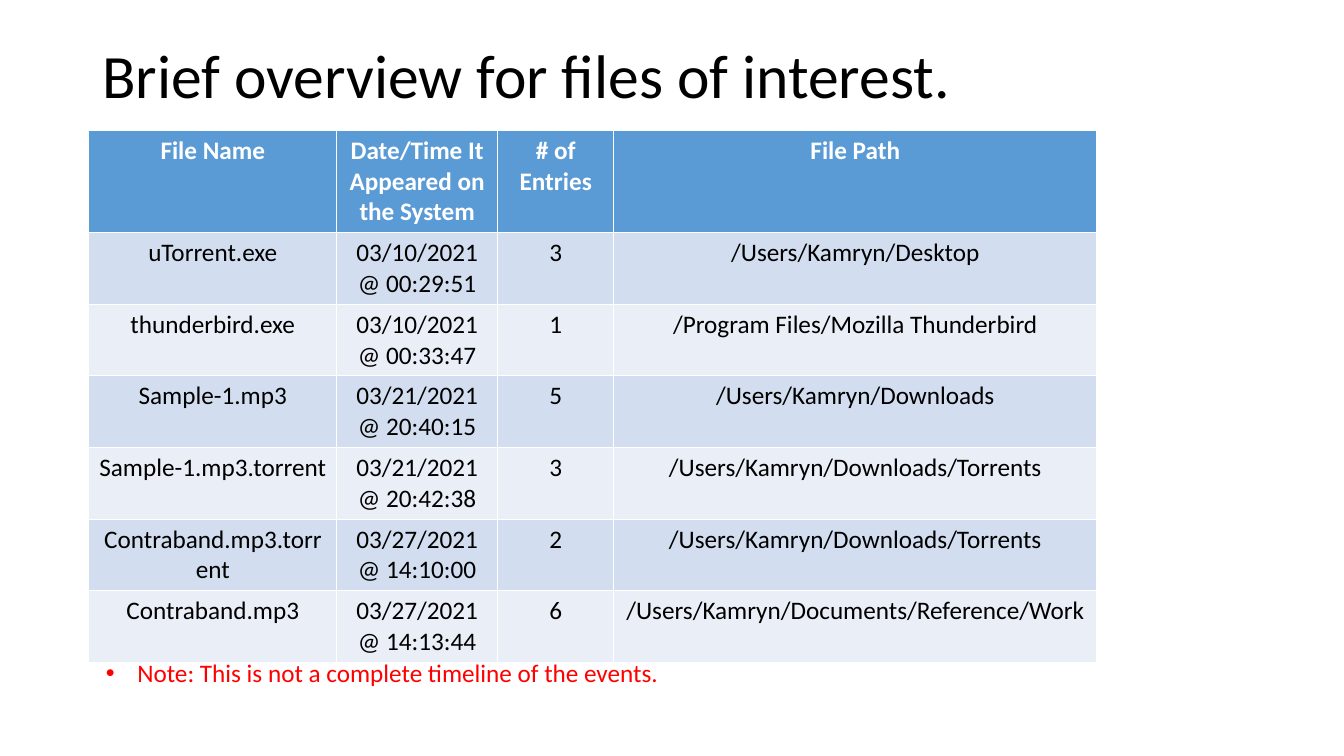
"""Build a slide with a table of files of interest and a note."""
from lxml import etree
from pptx import Presentation
from pptx.dml.color import RGBColor
from pptx.enum.text import MSO_ANCHOR, MSO_AUTO_SIZE, PP_ALIGN
from pptx.oxml.ns import qn
from pptx.util import Pt

LEFT, CENTER = PP_ALIGN.LEFT, PP_ALIGN.CENTER
MIDDLE = MSO_ANCHOR.MIDDLE
GROW = MSO_AUTO_SIZE.SHAPE_TO_FIT_TEXT

BLACK = RGBColor(0x00, 0x00, 0x00)
WHITE = RGBColor(0xFF, 0xFF, 0xFF)
RED = RGBColor(0xFF, 0x00, 0x00)
BLUE = RGBColor(0x5B, 0x9B, 0xD5)
BANDS = [RGBColor(0xEA, 0xEF, 0xF7), RGBColor(0xD2, 0xDE, 0xEF)]

WIDTHS = [177, 115, 83, 345]
ROWS = [
    ("File Name", "Date/Time It Appeared on the System", "# of Entries", "File Path"),
    ("uTorrent.exe", "03/10/2021 @ 00:29:51", "3", "/Users/Kamryn/Desktop"),
    ("thunderbird.exe", "03/10/2021 @ 00:33:47", "1", "/Program Files/Mozilla Thunderbird"),
    ("Sample-1.mp3", "03/21/2021 @ 20:40:15", "5", "/Users/Kamryn/Downloads"),
    ("Sample-1.mp3.torrent", "03/21/2021 @ 20:42:38", "3", "/Users/Kamryn/Downloads/Torrents"),
    ("Contraband.mp3.torrent", "03/27/2021 @ 14:10:00", "2", "/Users/Kamryn/Downloads/Torrents"),
    ("Contraband.mp3", "03/27/2021 @ 14:13:44", "6", "/Users/Kamryn/Documents/Reference/Work"),
]


def style(para, size, color, align, bold=False):
    para.alignment = align
    font = para.font
    font.name, font.size, font.bold = "Calibri", Pt(size), bold
    font.color.rgb = color


deck = Presentation()
deck.slide_width, deck.slide_height = Pt(960), Pt(540)
slide = deck.slides.add_slide(deck.slide_layouts[5])

title = slide.shapes.title
title.left, title.top, title.width, title.height = Pt(66), Pt(4), Pt(828), Pt(104.4)
frame = title.text_frame
frame.text = "Brief overview for files of interest."
frame.vertical_anchor = MIDDLE
frame.paragraphs[0].line_spacing = 0.9
style(frame.paragraphs[0], 44, BLACK, LEFT)

table = slide.shapes.add_table(
    len(ROWS), len(WIDTHS), Pt(63.5), Pt(93), Pt(sum(WIDTHS)), Pt(378)).table
for column, width in zip(table.columns, WIDTHS):
    column.width = Pt(width)
for r, texts in enumerate(ROWS):
    head = r == 0
    table.rows[r].height = Pt(72 if head else 51)
    for c, text in enumerate(texts):
        cell = table.cell(r, c)
        cell.text = text
        cell.fill.solid()
        cell.fill.fore_color.rgb = BLUE if head else BANDS[r % 2]
        style(cell.text_frame.paragraphs[0], 18, WHITE if head else BLACK, CENTER, head)

note = slide.shapes.add_textbox(Pt(68.5), Pt(466), Pt(720), Pt(29)).text_frame
note.word_wrap = True
note.auto_size = GROW
note.text = "Note: This is not a complete timeline of the events."
para = note.paragraphs[0]
props = para._p.get_or_add_pPr()
props.set("marL", str(Pt(22.5)))
props.set("indent", str(-Pt(22.5)))
etree.SubElement(props, qn("a:buFont"), typeface="Arial")
etree.SubElement(props, qn("a:buChar"), char="•")
style(para, 18, RED, LEFT)

deck.save("out.pptx")
